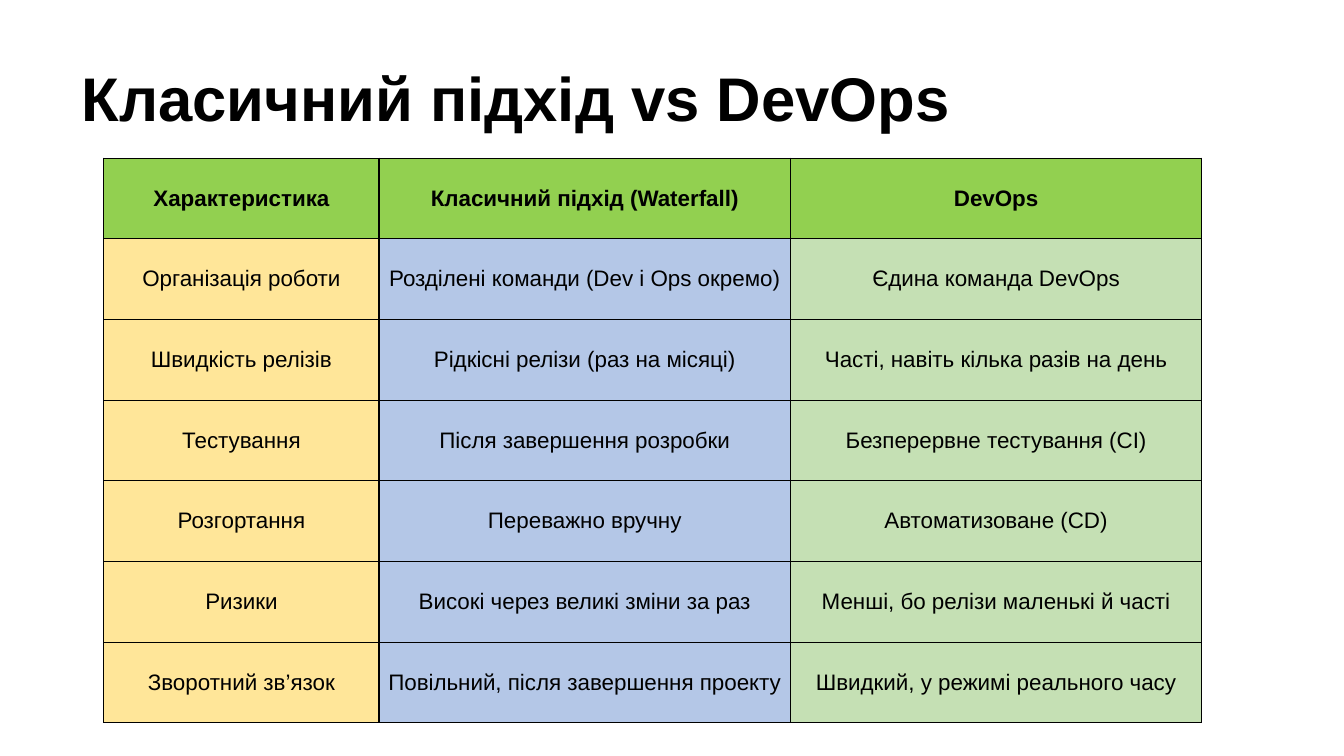
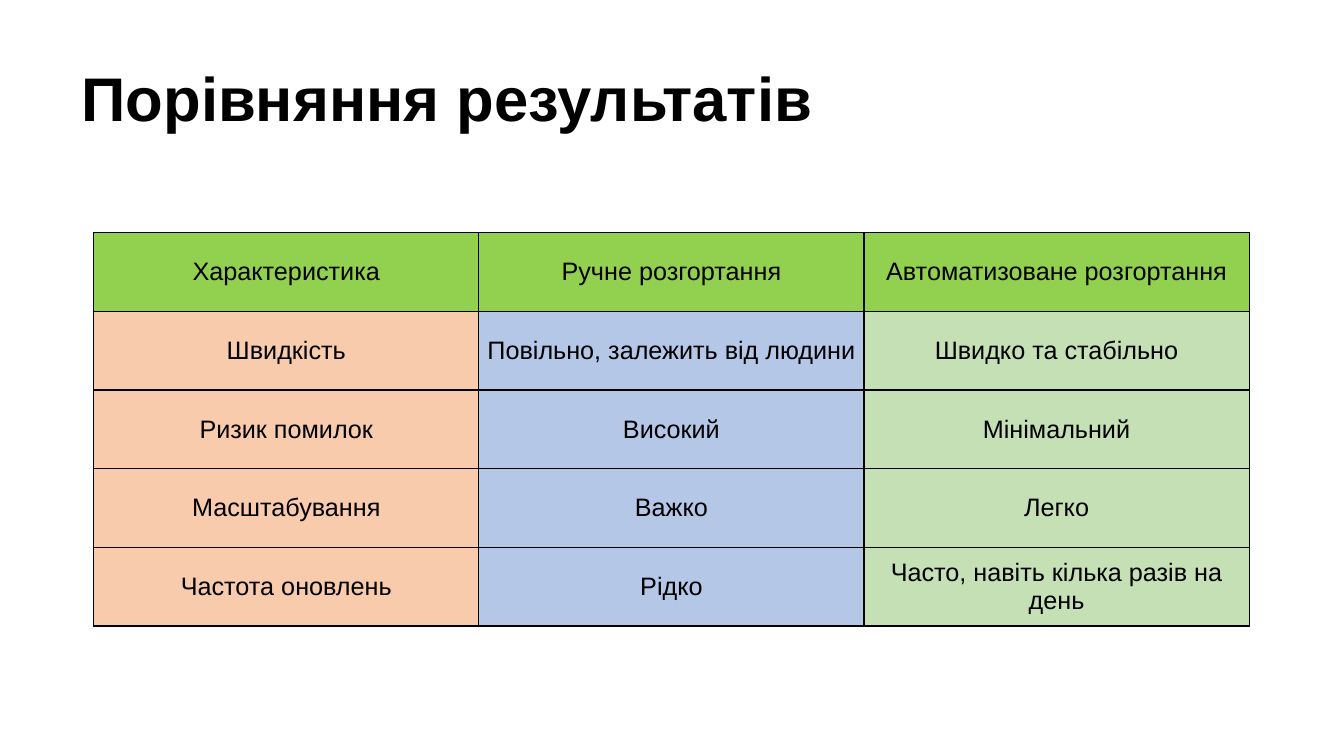
from lxml.etree import SubElement
from pptx import Presentation
from pptx.dml.color import RGBColor
from pptx.enum.text import MSO_ANCHOR, MSO_AUTO_SIZE, PP_ALIGN
from pptx.oxml.ns import qn
from pptx.util import Inches, Pt

BLACK = RGBColor(0x00, 0x00, 0x00)
LIME = RGBColor(0x92, 0xD0, 0x50)
YELLOW = RGBColor(0xFF, 0xE6, 0x99)
PEACH = RGBColor(0xF8, 0xCB, 0xAD)
BLUE = RGBColor(0xB4, 0xC7, 0xE7)
GREEN = RGBColor(0xC5, 0xE0, 0xB4)

MODELS = [
    ("Характеристика", "Класичний підхід (Waterfall)", "DevOps"),
    ("Організація роботи", "Розділені команди (Dev і Ops окремо)", "Єдина команда DevOps"),
    ("Швидкість релізів", "Рідкісні релізи (раз на місяці)", "Часті, навіть кілька разів на день"),
    ("Тестування", "Після завершення розробки", "Безперервне тестування (CI)"),
    ("Розгортання", "Переважно вручну", "Автоматизоване (CD)"),
    ("Ризики", "Високі через великі зміни за раз", "Менші, бо релізи маленькі й часті"),
    ("Зворотний зв’язок", "Повільний, після завершення проекту", "Швидкий, у режимі реального часу"),
]
RESULTS = [
    ("Характеристика", "Ручне розгортання", "Автоматизоване розгортання"),
    ("Швидкість", "Повільно, залежить від людини", "Швидко та стабільно"),
    ("Ризик помилок", "Високий", "Мінімальний"),
    ("Масштабування", "Важко", "Легко"),
    ("Частота оновлень", "Рідко", "Часто, навіть кілька разів на день"),
]


class Deck:
    """Holds the shared style and the current slide."""

    def __init__(self):
        self.show = Presentation()
        self.show.slide_width = Inches(13.33)
        self.show.slide_height = Inches(7.5)
        self.slide = None

    def style(self, para, size, bold, align):
        para.alignment = align
        font = para.font
        font.name = "Arial"
        font.size = Pt(size)
        font.bold = bold
        font.color.rgb = BLACK

    def title(self, text):
        self.slide = self.show.slides.add_slide(self.show.slide_layouts[5])
        box = self.slide.shapes.title
        box.left, box.top = Inches(0.71), Inches(0.28)
        box.width, box.height = Inches(11.5), Inches(1.45)
        frame = box.text_frame
        frame.text = text
        frame.word_wrap = True
        frame.auto_size = MSO_AUTO_SIZE.NONE
        frame.vertical_anchor = MSO_ANCHOR.MIDDLE
        para = frame.paragraphs[0]
        para.line_spacing = 0.9
        self.style(para, 44, True, PP_ALIGN.LEFT)

    def border(self, cell):
        props = cell._tc.get_or_add_tcPr()
        for side in ("lnL", "lnR", "lnT", "lnB"):
            line = SubElement(props, qn(f"a:{side}"), w=str(Pt(1)))
            fill = SubElement(line, qn("a:solidFill"))
            SubElement(fill, qn("a:srgbClr"), val=str(BLACK))

    def cell(self, cell, text, size, bold, color):
        self.border(cell)
        cell.fill.solid()
        cell.fill.fore_color.rgb = color
        cell.margin_left = cell.margin_right = 0
        cell.margin_top = cell.margin_bottom = 0
        cell.vertical_anchor = MSO_ANCHOR.MIDDLE
        cell.text = text
        self.style(cell.text_frame.paragraphs[0], size, bold, PP_ALIGN.CENTER)

    def table(self, data, left, top, widths, height, size, bold, first):
        table = self.slide.shapes.add_table(
            len(data), len(widths), Inches(left), Inches(top),
            Inches(sum(widths)), Inches(height * len(data))).table
        for col, width in zip(table.columns, widths):
            col.width = Inches(width)
        fills = (first, BLUE, GREEN)
        for i, row in enumerate(data):
            table.rows[i].height = Inches(height)
            for j, text in enumerate(row):
                color = fills[j] if i else LIME
                self.cell(table.cell(i, j), text, size, bold and i == 0, color)


def main():
    deck = Deck()
    deck.title("Класичний підхід vs DevOps")
    deck.table(MODELS, 1.03, 1.57, (2.73, 4.08, 4.08), 0.8, 16, True, YELLOW)
    deck.title("Порівняння результатів")
    deck.table(RESULTS, 0.93, 2.31, (3.82,) * 3, 0.78, 18, False, PEACH)
    deck.show.save("out.pptx")


if __name__ == "__main__":
    main()
